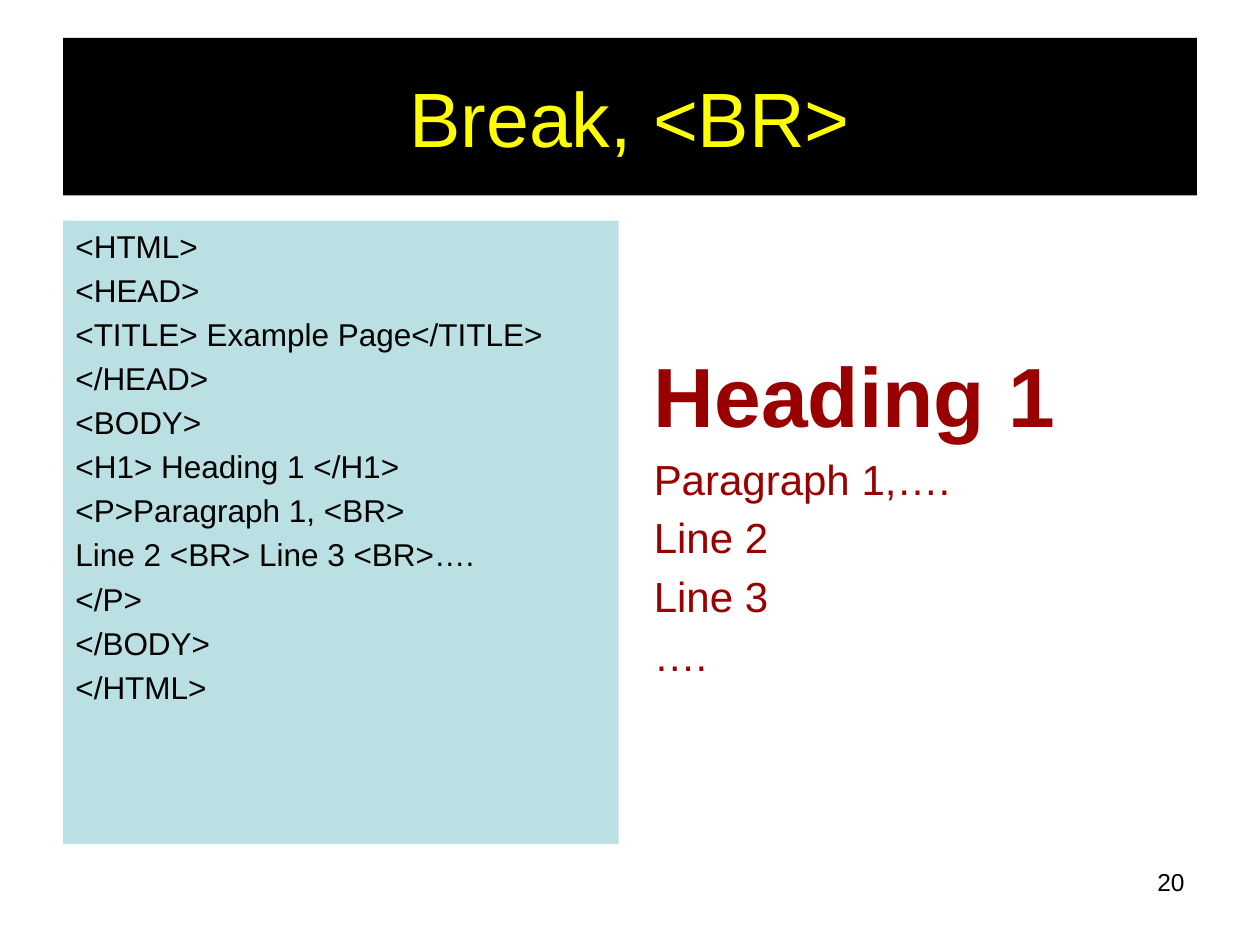
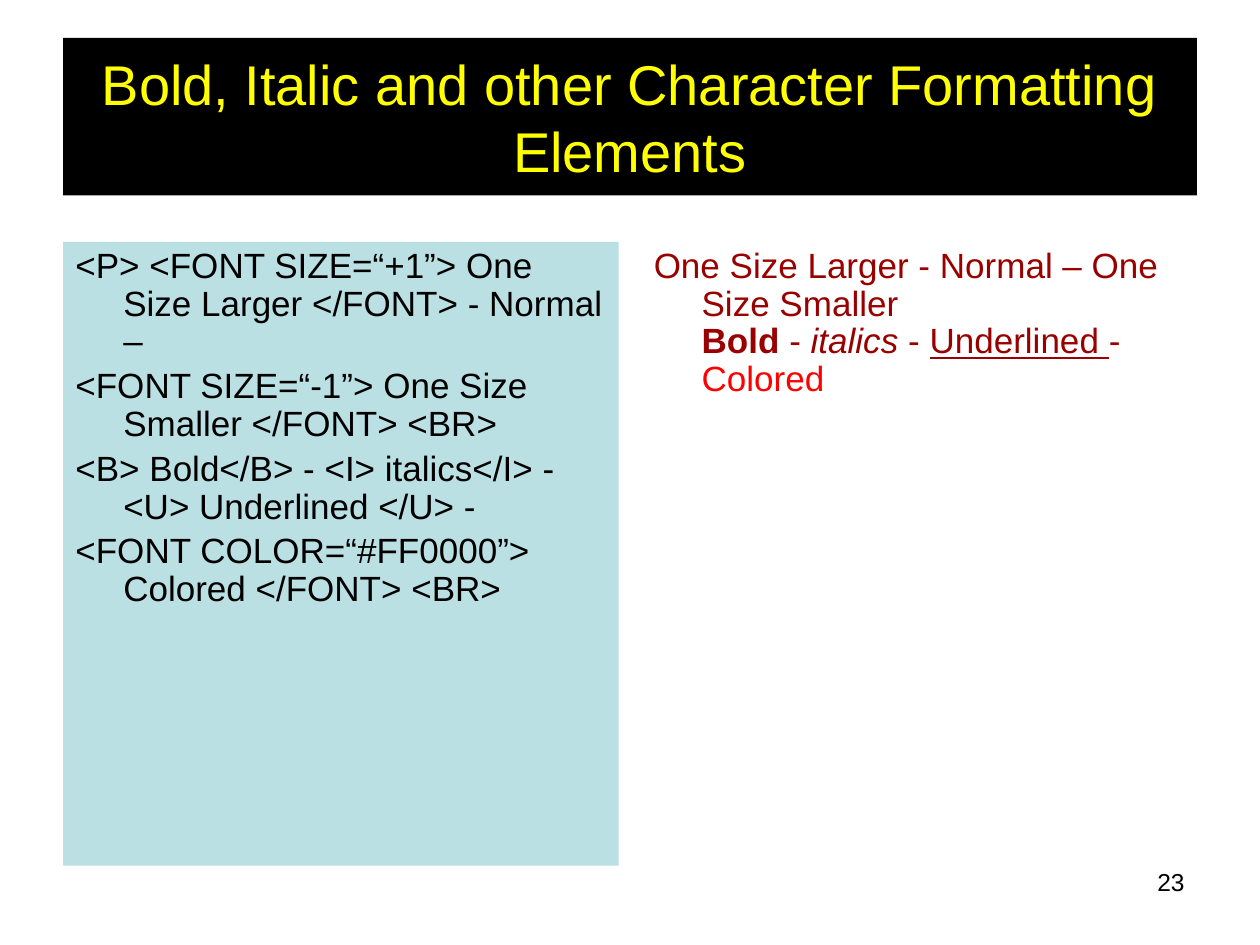
from pptx import Presentation
from pptx.dml.color import RGBColor
from pptx.enum.text import MSO_ANCHOR as Anchor, MSO_AUTO_SIZE as AutoSize, PP_ALIGN as Align
from pptx.oxml.ns import qn
from pptx.util import Inches, Pt
from lxml.etree import SubElement

BLACK = RGBColor(0x00, 0x00, 0x00)
YELLOW = RGBColor(0xFF, 0xFF, 0x00)
PALE_TEAL = RGBColor(0xBB, 0xE0, 0xE3)
DARK_RED = RGBColor(0x99, 0x00, 0x00)
RED = RGBColor(0xFF, 0x00, 0x00)

FONT = "Arial"
MARGIN = 0.5
PANEL_WIDTH, PANEL_HEIGHT = 4.41, 4.95
RESULT_LEFT = 10 - MARGIN - PANEL_WIDTH
HANGING = 0.38

BREAK_CODE = [
    "<HTML>",
    "<HEAD>",
    "<TITLE> Example Page</TITLE>",
    "</HEAD>",
    "<BODY>",
    "<H1> Heading 1 </H1>",
    "<P>Paragraph 1, <BR>",
    "Line 2 <BR> Line 3 <BR>….",
    "</P>",
    "</BODY>",
    "</HTML>",
]
BREAK_RESULT = [
    [("Heading 1", {"size": 48, "bold": True})],
    "Paragraph 1,….",
    "Line 2",
    "Line 3",
    "….",
]
FORMAT_CODE = [
    "<P> <FONT SIZE=“+1”> One Size Larger </FONT> - Normal –",
    "<FONT SIZE=“-1”> One Size Smaller </FONT> <BR>",
    "<B> Bold</B> - <I> italics</I> - <U> Underlined </U> -",
    "<FONT COLOR=“#FF0000”> Colored </FONT> <BR>",
]
FORMAT_RESULT = [[
    ("One Size Larger - Normal – One Size Smaller \n", {}),
    ("Bold", {"bold": True}),
    (" - ", {}),
    ("italics", {"italic": True}),
    (" - ", {}),
    ("Underlined ", {"underline": True}),
    ("- ", {}),
    ("Colored", {"color": RED}),
]]


def add_text(para, text, size=18, color=BLACK, bold=False, italic=False, underline=False):
    """Append formatted text; a newline becomes a line break."""
    for index, line in enumerate(text.split("\n")):
        if index:
            para.add_line_break()
        if line:
            span = para.add_run()
            span.text = line
            font = span.font
            font.name, font.size, font.color.rgb = FONT, Pt(size), color
            font.bold, font.italic, font.underline = bold, italic, underline


def format_hanging(para, line_spacing):
    """Hang the first line and put 20% of the text size before the paragraph."""
    para.line_spacing = line_spacing
    props = para._p.get_or_add_pPr()
    props.set("marL", str(Inches(HANGING)))
    props.set("indent", str(-Inches(HANGING)))
    before = SubElement(props, qn("a:spcBef"))
    SubElement(before, qn("a:spcPct")).set("val", "20000")


def add_box(page, left, top, width, height):
    box = page.shapes.add_textbox(Inches(left), Inches(top), Inches(width), Inches(height))
    box.text_frame.word_wrap = True
    return box


def add_panel(page, left, top, paragraphs, size, color=BLACK, fill=None,
              line_spacing=1.0, inset_top=0.05):
    box = add_box(page, left, top, PANEL_WIDTH, PANEL_HEIGHT)
    if fill is not None:
        box.fill.solid()
        box.fill.fore_color.rgb = fill
    frame = box.text_frame
    frame.margin_top = Inches(inset_top)
    for index, spans in enumerate(paragraphs):
        para = frame.add_paragraph() if index else frame.paragraphs[0]
        format_hanging(para, line_spacing)
        if isinstance(spans, str):
            spans = [(spans, {})]
        for text, style in spans:
            add_text(para, text, **{"size": size, "color": color, **style})


def add_page(deck, title, title_size, number):
    """Add a slide with its title band and page number."""
    page = deck.slides.add_slide(deck.slide_layouts[5])
    band = page.shapes.title
    band.left, band.top = Inches(MARGIN), Inches(0.3)
    band.width, band.height = Inches(9), Inches(1.25)
    band.fill.solid()
    band.fill.fore_color.rgb = BLACK
    frame = band.text_frame
    frame.auto_size = AutoSize.NONE
    frame.vertical_anchor = Anchor.MIDDLE
    frame.paragraphs[0].alignment = Align.CENTER
    add_text(frame.paragraphs[0], title, size=title_size, color=YELLOW)

    para = add_box(page, 7.17, 6.83, 2.33, 0.52).text_frame.paragraphs[0]
    para.alignment = Align.RIGHT
    add_text(para, str(number), size=14)
    return page


def add_example(page, top, code, result, size, result_size, line_spacing=1.0, result_inset=0.05):
    """Show HTML code on the left and what it renders to on the right."""
    add_panel(page, MARGIN, top, code, size, fill=PALE_TEAL, line_spacing=line_spacing)
    add_panel(page, RESULT_LEFT, top, result, result_size, color=DARK_RED,
              line_spacing=line_spacing, inset_top=result_inset)


def main():
    deck = Presentation()
    deck.slide_width, deck.slide_height = Inches(10), Inches(7.5)

    page = add_page(deck, "Break, <BR>", 44, 20)
    add_example(page, 1.75, BREAK_CODE, BREAK_RESULT, 18, 24, result_inset=0.98)

    page = add_page(deck, "Bold, Italic and other Character Formatting Elements", 32, 23)
    add_example(page, 1.92, FORMAT_CODE, FORMAT_RESULT, 20, 20, line_spacing=0.9)

    deck.save("out.pptx")


if __name__ == "__main__":
    main()
